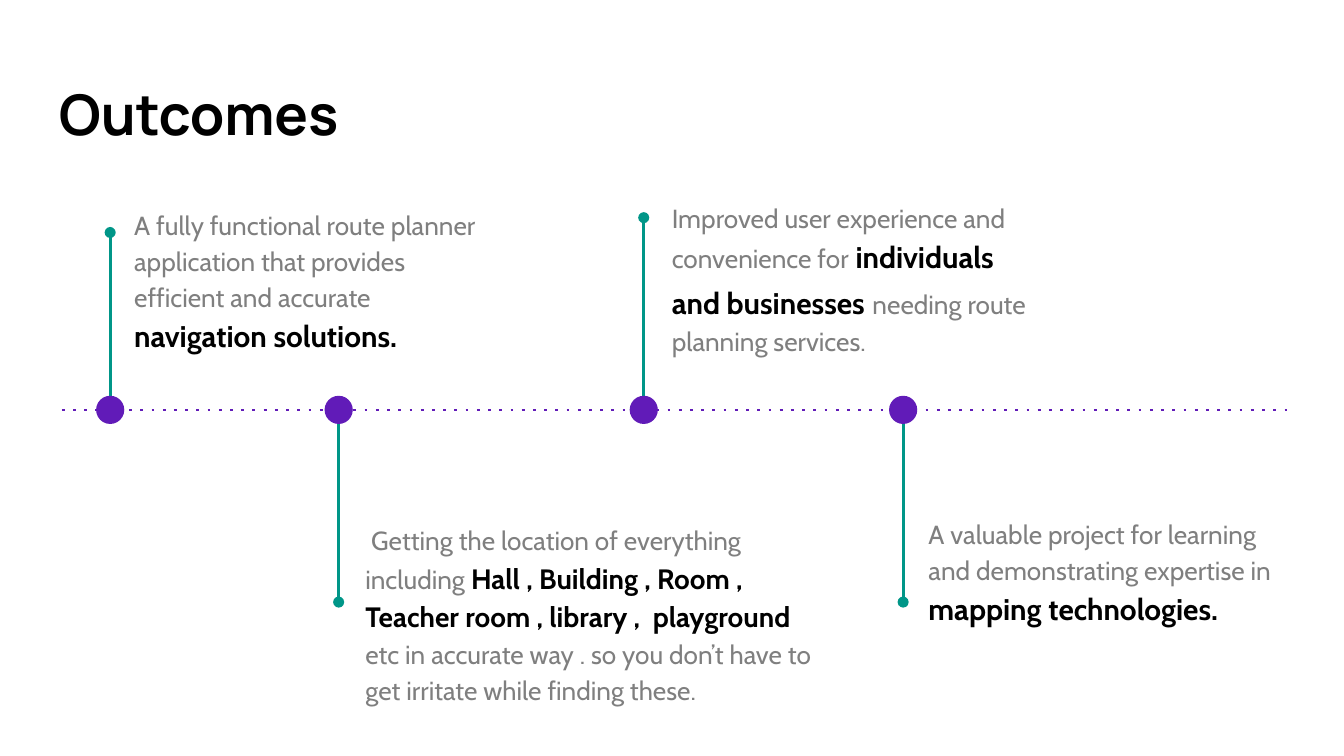
from dataclasses import dataclass

from lxml.etree import SubElement
from pptx import Presentation
from pptx.dml.color import RGBColor
from pptx.enum.shapes import MSO_CONNECTOR, MSO_SHAPE
from pptx.oxml.ns import qn
from pptx.util import Inches, Pt


@dataclass(frozen=True)
class Theme:
    title: RGBColor = RGBColor(0x00, 0x00, 0x00)
    strong: RGBColor = RGBColor(0x00, 0x00, 0x00)
    body: RGBColor = RGBColor(0x7F, 0x7F, 0x7F)
    axis: RGBColor = RGBColor(0x61, 0x1B, 0xB8)
    stem: RGBColor = RGBColor(0x00, 0x96, 0x88)
    title_font: str = "Manrope"
    body_font: str = "Cabin"
    title_size: int = 30
    body_size: int = 14
    list_size: int = 15
    strong_size: int = 16
    gap_size: int = 18
    line_width: float = 1.5


THEME = Theme()
AXIS_Y = 3.05
DOT_SIZE = 0.21

# Each milestone: x on the axis, y of the stem's tip, text box, space after,
# and runs of (text, size, bold)
MILESTONES = [
    (0.82, 1.73, (0.9, 1.42, 2.91, 1.23), 16, [
        ("A fully functional route planner application that provides "
         "efficient and accurate ", THEME.body_size, False),
        ("navigation solutions.", THEME.strong_size, True)]),
    (2.52, 4.48, (2.62, 3.77, 3.54, 1.62), 0, [
        (" Getting the location of everything including ",
         THEME.body_size, False),
        ("Hall , Building , Room , Teacher room , library ,  playground",
         THEME.list_size, True),
        (" etc in accurate way . so you don’t have to get irritate while "
         "finding these.", THEME.body_size, False)]),
    (4.79, 1.62, (4.9, 1.37, 2.91, 1.48), 16, [
        ("Improved user experience and convenience for",
         THEME.body_size, False),
        (" ", THEME.strong_size, False),
        ("individuals and businesses", THEME.strong_size, True),
        (" ", THEME.gap_size, True),
        ("needing route planning services.", THEME.body_size, False)]),
    (6.72, 4.48, (6.81, 3.72, 2.91, 1.43), 16, [
        ("A valuable project for learning and demonstrating expertise in ",
         THEME.body_size, False),
        ("mapping technologies.", THEME.strong_size, True)]),
]


def add_text_box(s, box):
    """Add a wrapping text box with even insets and return its paragraph."""
    tf = s.shapes.add_textbox(*map(Inches, box)).text_frame
    tf.word_wrap = True
    tf.margin_left = tf.margin_right = Inches(0.1)
    tf.margin_top = tf.margin_bottom = Inches(0.1)
    return tf.paragraphs[0]


def add_title(s, text):
    p = add_text_box(s, (0.34, 0.49, 9.32, 0.68))
    p.text = text
    p.font.name = THEME.title_font
    p.font.size = Pt(THEME.title_size)
    p.font.bold = True
    p.font.color.rgb = THEME.title


def add_description(s, box, space_after, runs):
    p = add_text_box(s, box)
    p.line_spacing = 1.15
    p.space_after = Pt(space_after)
    p.font.name = THEME.body_font
    for text, size, bold in runs:
        r = p.add_run()
        r.text = text
        r.font.size = Pt(size)
        r.font.bold = bold
        r.font.color.rgb = THEME.strong if bold else THEME.body


def add_line(s, start, end, color, detail, **attributes):
    """Add a line with one extra XML detail, such as a dash or an end."""
    line = s.shapes.add_connector(
        MSO_CONNECTOR.STRAIGHT, *map(Inches, (*start, *end)))
    line.line.color.rgb = color
    line.line.width = Pt(THEME.line_width)
    ln = line._element.spPr.find(qn("a:ln"))
    SubElement(ln, qn(detail), **attributes)
    SubElement(line._element.spPr, qn("a:effectLst"))


def add_axis(s):
    add_line(s, (0.46, AXIS_Y), (9.58, AXIS_Y), THEME.axis,
             "a:prstDash", val="dot")


def add_marker(s, x, tip_y):
    """Add a dot on the axis and a stem that ends in a small round tip."""
    radius = DOT_SIZE / 2
    edge_y = AXIS_Y + (radius if tip_y > AXIS_Y else -radius)
    add_line(s, (x, edge_y), (x, tip_y), THEME.stem,
             "a:tailEnd", type="oval")

    dot = s.shapes.add_shape(
        MSO_SHAPE.OVAL, Inches(x - radius), Inches(AXIS_Y - radius),
        Inches(DOT_SIZE), Inches(DOT_SIZE))
    dot.shadow.inherit = False
    dot.fill.solid()
    dot.fill.fore_color.rgb = THEME.axis
    dot.line.fill.background()


def main():
    prs = Presentation()
    prs.slide_width = Inches(10)
    prs.slide_height = Inches(10) * 9 // 16
    s = prs.slides.add_slide(prs.slide_layouts[6])
    add_title(s, "Outcomes")
    add_axis(s)
    for x, tip_y, box, space_after, runs in MILESTONES:
        add_marker(s, x, tip_y)
        add_description(s, box, space_after, runs)
    prs.save("out.pptx")


if __name__ == "__main__":
    main()
